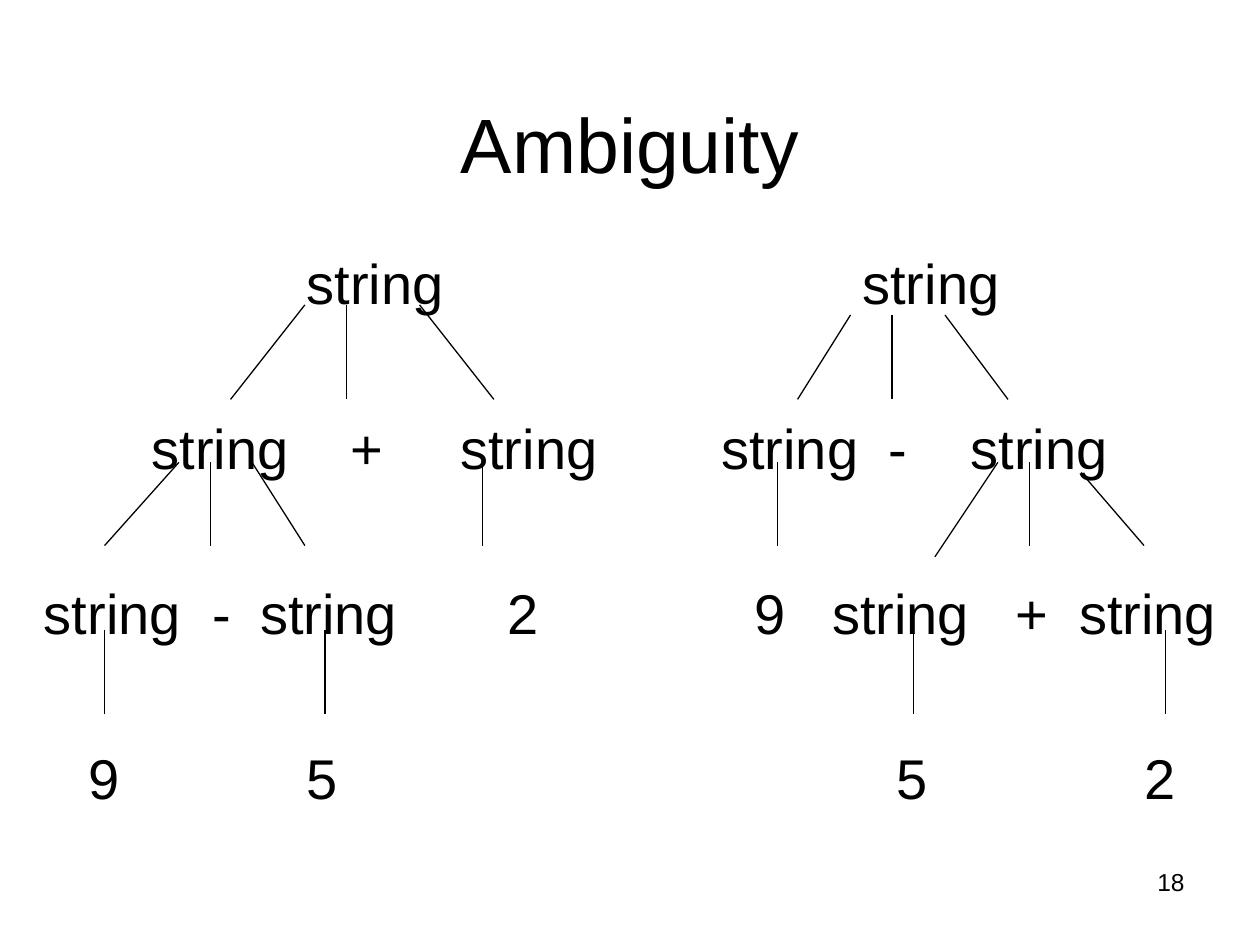
"""Build a slide with two parse trees that show an ambiguous grammar."""
import pptx
import pptx.dml.color
import pptx.enum.shapes
import pptx.enum.text
import pptx.oxml
import pptx.oxml.ns
import pptx.util

Inches = pptx.util.Inches
Pt = pptx.util.Pt
ALIGN = pptx.enum.text.PP_ALIGN
ANCHOR = pptx.enum.text.MSO_ANCHOR
BLACK = pptx.dml.color.RGBColor(0x00, 0x00, 0x00)
WHITE = pptx.dml.color.RGBColor(0xFF, 0xFF, 0xFF)

TREE_BOX = (0.25, 1.88, 9.58, 4.82)
SIDE_INSET = 0.1

TREE_ROWS = [
    [("string", 2.98), ("string", 7.39)],
    [("string", 1.75), ("+", 2.91), ("string", 4.2),
     ("string", 6.27), ("-", 7.13), ("string", 8.25)],
    [("string", 0.89), ("-", 1.76), ("string", 2.61), ("2", 4.15),
     ("9", 6.11), ("string", 7.15), ("+", 8.19), ("string", 9.11)],
    [("9", 0.83), ("5", 2.56), ("5", 7.24), ("2", 9.21)],
]

BRANCHES = {
    (2.42, 3.17): [(2.42, 1.83), (2.75, 2.75), (3.33, 3.92)],
    (2.5, 3.17): [(6.75, 6.33), (7.08, 7.08), (7.5, 8)],
    (3.67, 4.33): [(1.42, 0.83), (1.67, 1.67), (2, 2.42), (3.83, 3.83),
                   (6.17, 6.17), (8.17, 8.17)],
    (3.67, 4.42): [(7.92, 7.42)],
    (3.75, 4.33): [(8.58, 9.08)],
    (5, 5.67): [(x, x) for x in (0.83, 2.58, 7.25, 9.25)],
}


class SlideBuilder:
    """Hold the style and the current slide."""

    font_name = "Arial"
    color = BLACK
    line_width = Pt(0.75)

    def __init__(self, presentation):
        """Add a blank white slide to the presentation."""
        self.slide = presentation.slides.add_slide(presentation.slide_layouts[6])
        background = self.slide.background.fill
        background.solid()
        background.fore_color.rgb = WHITE

    def add_text(self, text, *, box, size, align=ALIGN.LEFT, anchor=ANCHOR.TOP,
                 top_inset=0.05, row_gap=0, tab_rows=()):
        """Add a text box with one paragraph for each line of text."""
        shape = self.slide.shapes.add_textbox(*map(Inches, box))
        frame = shape.text_frame
        frame.word_wrap = True
        frame.vertical_anchor = anchor
        frame.margin_left = frame.margin_right = Inches(SIDE_INSET)
        frame.margin_top = Inches(top_inset)
        frame.margin_bottom = Inches(0.05)
        frame.text = text
        for index, paragraph in enumerate(frame.paragraphs):
            paragraph.alignment = align
            paragraph.space_before = Pt(row_gap if index else 0)
            if tab_rows:
                self.add_center_tabs(paragraph, tab_rows[index])
            for run in paragraph.runs:
                run.font.name = self.font_name
                run.font.size = Pt(size)
                run.font.color.rgb = self.color

    def add_center_tabs(self, paragraph, positions):
        """Give the paragraph centred tab stops."""
        properties = paragraph._p.get_or_add_pPr()
        tab_list = pptx.oxml.parse_xml(
            f"<a:tabLst {pptx.oxml.ns.nsdecls('a')}>"
            + "".join(f'<a:tab pos="{Inches(x)}" algn="ctr"/>' for x in positions)
            + "</a:tabLst>")
        properties.append(tab_list)

    def add_tree(self, rows):
        """Add the rows of tree nodes, each node centred on its tab stop."""
        text_left = TREE_BOX[0] + SIDE_INSET
        self.add_text(
            "\n".join("".join("\t" + label for label, _ in row) for row in rows),
            box=TREE_BOX, size=32, top_inset=0.09, row_gap=56,
            tab_rows=[[x - text_left for _, x in row] for row in rows])

    def add_branch(self, start_x, start_y, end_x, end_y):
        """Add a straight line from a parent node to its child."""
        connector = self.slide.shapes.add_connector(
            pptx.enum.shapes.MSO_CONNECTOR.STRAIGHT,
            *map(Inches, (start_x, start_y, end_x, end_y)))
        connector.line.color.rgb = self.color
        connector.line.width = self.line_width
        connector._element.spPr.append(
            pptx.oxml.parse_xml(f"<a:effectLst {pptx.oxml.ns.nsdecls('a')}/>"))


def main():
    """Build and save the slide."""
    presentation = pptx.Presentation()
    presentation.slide_width = Inches(10)
    presentation.slide_height = Inches(7.5)
    builder = SlideBuilder(presentation)
    builder.add_text("18", box=(7.17, 6.83, 2.33, 0.52), size=14, align=ALIGN.RIGHT)
    builder.add_text("Ambiguity", box=(0.5, 0.3, 9, 1.25), size=44,
                     align=ALIGN.CENTER, anchor=ANCHOR.BOTTOM)
    builder.add_tree(TREE_ROWS)
    for (start_y, end_y), branches in BRANCHES.items():
        for start_x, end_x in branches:
            builder.add_branch(start_x, start_y, end_x, end_y)
    presentation.save("out.pptx")


if __name__ == "__main__":
    main()
